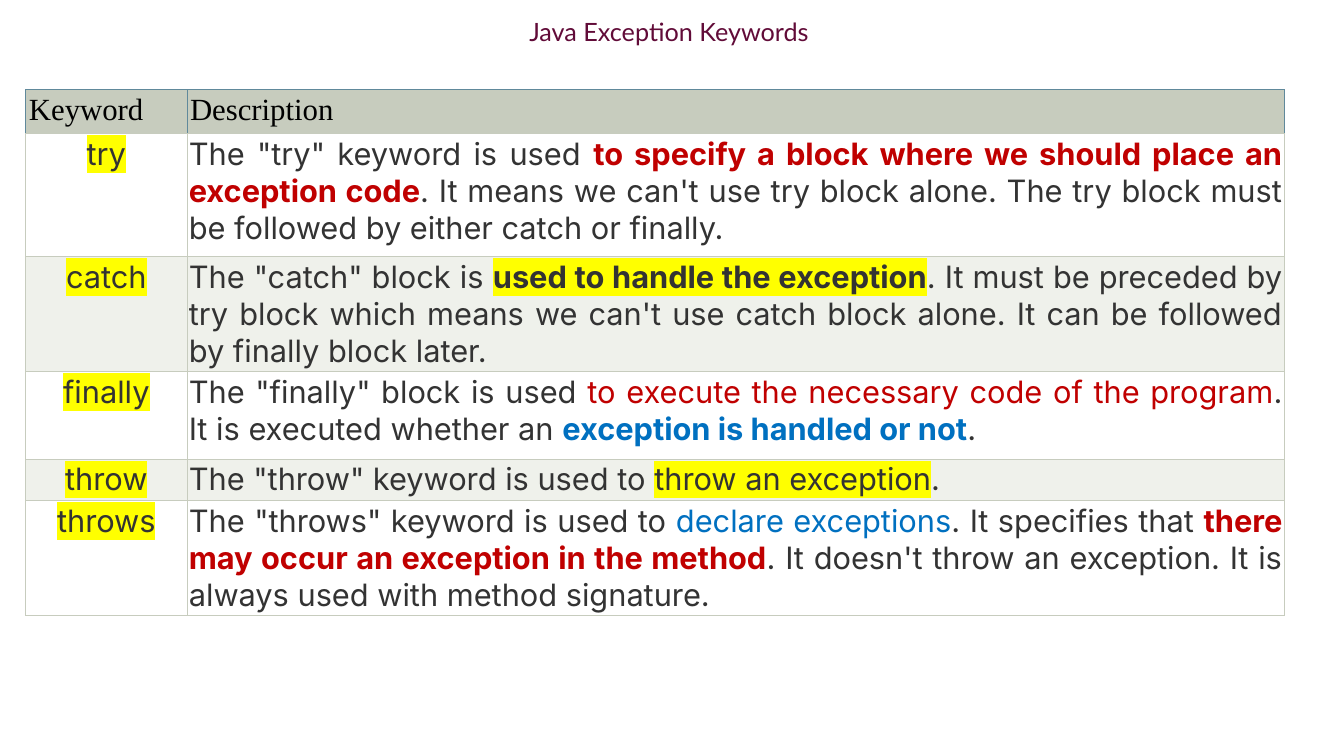
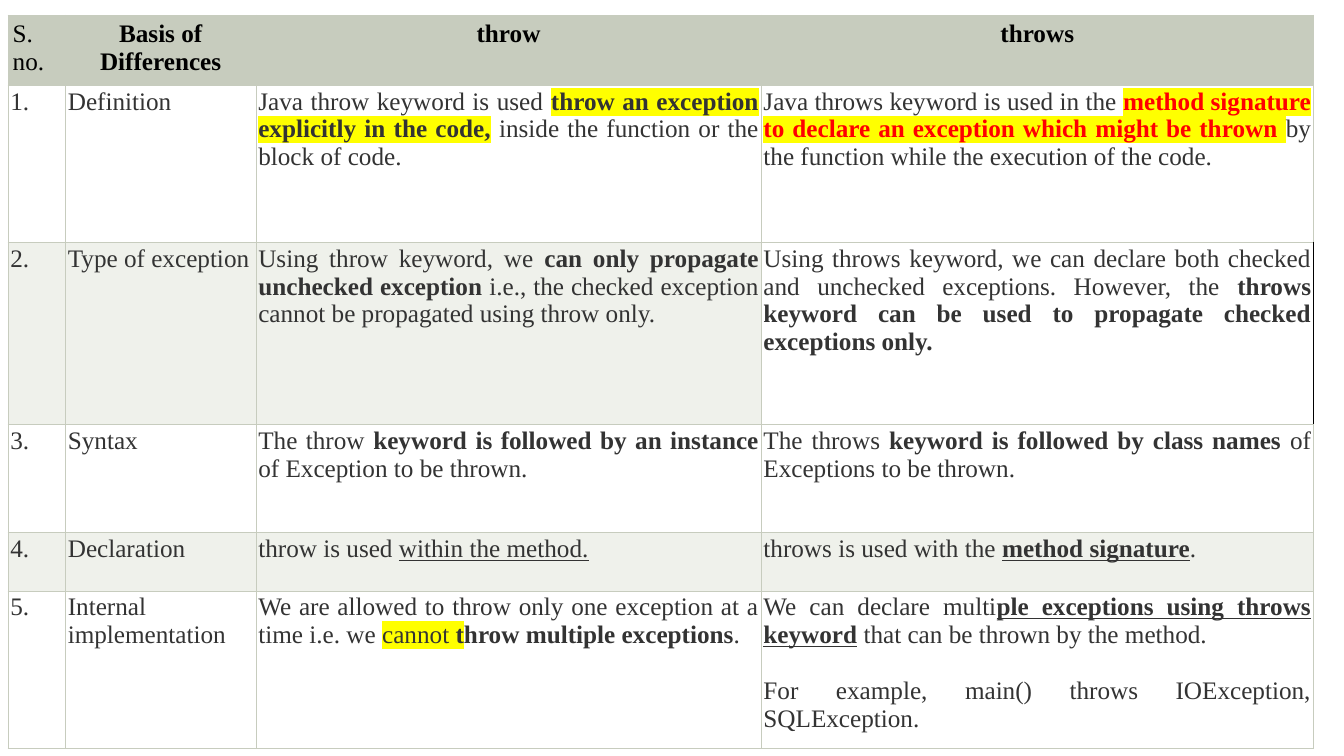
import pptx
import pptx.util
import pptx.dml.color
import pptx.enum.text
import pptx.oxml.ns
from lxml import etree

Cm = pptx.util.Cm
Pt = pptx.util.Pt
ALIGN = pptx.enum.text.PP_ALIGN
LEFT, CENTER, JUSTIFY = ALIGN.LEFT, ALIGN.CENTER, ALIGN.JUSTIFY
SERIF = "Times New Roman"
COLORS = {
    "plum": "610B38", "black": "000000", "text": "333333",
    "sage": "C7CCBE", "pale": "EFF1EB", "white": "FFFFFF",
    "slate": "60899B", "marker": "FFFF00",
    "crimson": "C00000", "red": "FF0000", "blue": "0070C0",
}


class Deck:
    def __init__(self):
        self.presentation = pptx.Presentation()
        self.presentation.slide_width = Cm(33.87)
        self.presentation.slide_height = Cm(19.05)
        self.slide = None

    def new_slide(self):
        layout = self.presentation.slide_layouts[6]
        self.slide = self.presentation.slides.add_slide(layout)

    def color(self, name):
        return pptx.dml.color.RGBColor.from_string(COLORS[name])

    def solid(self, parent, tag, name):
        holder = etree.SubElement(parent, pptx.oxml.ns.qn(tag))
        etree.SubElement(holder, pptx.oxml.ns.qn("a:srgbClr"), val=COLORS[name])

    def title(self, text):
        box = self.slide.shapes.add_textbox(Cm(0.3), Cm(0.28), Cm(33.12), Cm(1.02))
        box.text_frame.word_wrap = True
        self.fill_text(box.text_frame, text, CENTER, "Lato", 18, "plum")

    def fill_text(self, frame, content, align, font, size, color):
        paragraph = frame.paragraphs[0]
        self.style(paragraph, align, font, size)
        for piece in [content] if isinstance(content, str) else content:
            if piece == "\n":
                paragraph = frame.add_paragraph()
                self.style(paragraph, align, font, size)
                paragraph.space_before = Pt(20)
                continue
            text, marks = (piece, "") if isinstance(piece, str) else piece
            self.add_words(paragraph, text, marks.split(), color)

    def style(self, paragraph, align, font, size):
        paragraph.alignment = align
        paragraph.font.name = font
        paragraph.font.size = Pt(size)

    def add_words(self, paragraph, text, marks, color):
        words = paragraph.add_run()
        words.text = text
        words.font.bold = "bold" in marks
        if "underline" in marks:
            words.font.underline = True
        tint = next((mark for mark in marks if mark in COLORS and mark != "marker"), color)
        words.font.color.rgb = self.color(tint)
        if "marker" in marks:
            self.solid(words.font._element, "a:highlight", "marker")

    def borders(self, cell, overrides):
        properties = cell._tc.get_or_add_tcPr()
        for side in "LRTB":
            line = etree.SubElement(
                properties, pptx.oxml.ns.qn("a:ln" + side), w=str(int(Pt(0.5))))
            self.solid(line, "a:solidFill", overrides.get(side, "sage"))

    def table(self, left, top, widths, heights, rows, aligns, head_aligns,
              font, size, margins, edges):
        table = self.slide.shapes.add_table(
            len(rows), len(widths), Cm(left), Cm(top),
            Cm(sum(widths)), Cm(sum(heights))).table
        table.first_row = table.horz_banding = False
        for column, width in zip(table.columns, widths):
            column.width = Cm(width)
        for r, (height, contents) in enumerate(zip(heights, rows)):
            table.rows[r].height = Cm(height)
            head = r == 0
            fill = "sage" if head else ("white" if r % 2 else "pale")
            for c, content in enumerate(contents):
                cell = table.cell(r, c)
                margin = Cm(margins[0] if head else margins[1])
                cell.margin_left = cell.margin_right = margin
                cell.margin_top = cell.margin_bottom = margin
                self.borders(cell, edges.get((r, c), {}))
                cell.fill.solid()
                cell.fill.fore_color.rgb = self.color(fill)
                self.fill_text(cell.text_frame, content,
                               (head_aligns if head else aligns)[c],
                               SERIF if head else font, size,
                               "black" if head else "text")
        return table


def keywords_slide(deck):
    deck.new_slide()
    deck.title("Java Exception Keywords")
    descriptions = {
        "try": [
            'The "try" keyword is used ',
            ("to specify a block where we should place an exception code", "bold crimson"),
            ". It means we can't use try block alone. The try block must be "
            "followed by either catch or finally."],
        "catch": [
            'The "catch" block is ',
            ("used to handle the exception", "bold marker"),
            ". It must be preceded by try block which means we can't use catch "
            "block alone. It can be followed by finally block later."],
        "finally": [
            'The "finally" block is used ',
            ("to execute the necessary code of the program", "crimson"),
            ". It is executed whether an ",
            ("exception is handled or not", "bold blue"), "."],
        "throw": [
            'The "throw" keyword is used to ',
            ("throw an exception", "marker"), "."],
        "throws": [
            'The "throws" keyword is used to ',
            ("declare exceptions", "blue"),
            ". It specifies that ",
            ("there may occur an exception in the method", "bold crimson"),
            ". It doesn't throw an exception. It is always used with method signature."],
    }
    rows = [["Keyword", "Description"]]
    rows += [[[(word, "marker")], text] for word, text in descriptions.items()]
    deck.table(
        0.65, 2.26, [4.06, 27.66], [1.1, 3.1, 2.9, 2.21, 1.04, 2.9], rows,
        [CENTER, JUSTIFY], [LEFT, LEFT], "Inter", 22, (0.08, 0.05),
        {(0, c): dict.fromkeys("LRT", "slate") for c in range(2)})


def differences_slide(deck):
    deck.new_slide()
    differences = [
        ["Definition",
         ["Java throw keyword is used ",
          ("throw an exception explicitly in the code,", "bold marker"),
          " inside the function or the block of code."],
         ["Java throws keyword is used in the ",
          ("method signature to declare an exception which might be thrown ",
           "bold red marker"),
          "by the function while the execution of the code."]],
        ["Type of exception",
         ["Using throw keyword, we ",
          ("can only propagate unchecked exception", "bold"),
          " i.e., the checked exception cannot be propagated using throw only."],
         ["Using throws keyword, we can declare both checked and unchecked "
          "exceptions. However, the ",
          ("throws keyword can be used to propagate checked exceptions only.", "bold")]],
        ["Syntax",
         ["The throw ", ("keyword is followed by an instance ", "bold"),
          "of Exception to be thrown."],
         ["The throws ", ("keyword is followed by class names ", "bold"),
          "of Exceptions to be thrown."]],
        ["Declaration",
         ["throw is used ", ("within the method.", "underline")],
         ["throws is used with the ", ("method signature", "bold underline"), "."]],
        ["Internal implementation",
         ["We are allowed to throw only one exception at a time i.e. we ",
          ("cannot ", "marker"), ("t", "bold marker"),
          ("hrow multiple exceptions", "bold"), "."],
         ["We can declare multi",
          ("ple exceptions using throws keyword", "bold underline"),
          " that can be thrown by the method.",
          "\n",
          "For example, main() throws IOException, SQLException."]],
    ]
    headings = ["Basis of Differences", "throw", "throws"]
    rows = [["S. no."] + [[(heading, "bold")] for heading in headings]]
    rows += [[f"{number}."] + row for number, row in enumerate(differences, 1)]
    table = deck.table(
        0.2, 0.38, [1.45, 4.8, 12.73, 13.92],
        [1.65, 3.96, 4.6, 2.72, 1.47, 3.96], rows,
        [JUSTIFY] * 4, [LEFT] + [CENTER] * 3, SERIF, 18, (0.12, 0.06),
        {(2, 3): {"R": "black"}})
    table.cell(2, 3).fill.background()


def main():
    deck = Deck()
    keywords_slide(deck)
    differences_slide(deck)
    deck.presentation.save("out.pptx")


if __name__ == "__main__":
    main()
